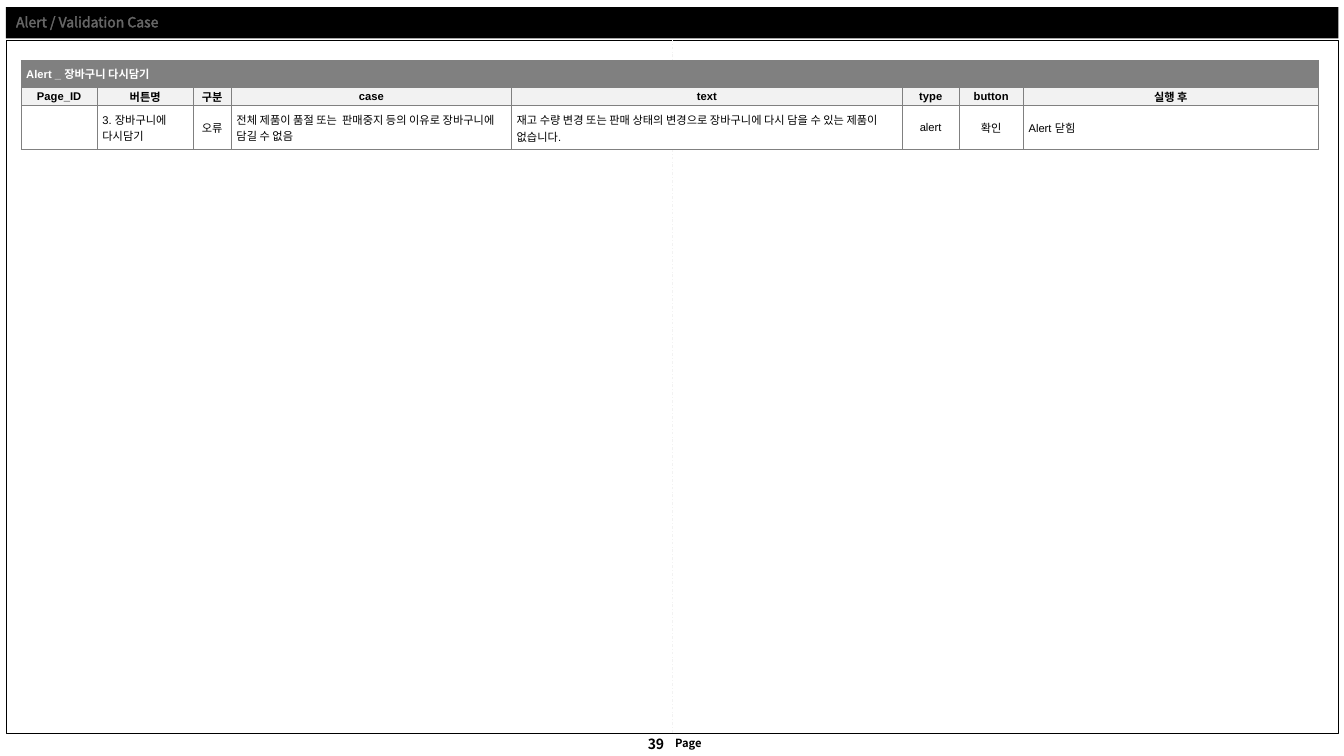
import pptx
import pptx.dml.color
import pptx.enum.dml
import pptx.enum.shapes
import pptx.enum.text
import pptx.oxml
import pptx.oxml.ns
import pptx.util
from lxml import etree

Cm = pptx.util.Cm
Pt = pptx.util.Pt
ALIGN = pptx.enum.text.PP_ALIGN
ANCHOR = pptx.enum.text.MSO_ANCHOR
AUTO_SIZE = pptx.enum.text.MSO_AUTO_SIZE
qn = pptx.oxml.ns.qn

COLORS = {
    "ink": "000000",
    "paper": "FFFFFF",
    "band": "808080",
    "header": "F2F2F2",
}
LATIN = "Arial"
KOREAN = "Noto Sans CJK KR"

COLUMN_WIDTHS = [1.92, 2.42, 0.96, 7.06, 9.85, 1.43, 1.62, 7.43]
ROW_HEIGHTS = [0.68, 0.46, 1.11]
HEADINGS = ["Page_ID", "버튼명", "구분", "case", "text", "type", "button", "실행 후"]
ALERT = [
    "",
    "3. ",
    "오류",
    "전체 제품이 품절 또는  판매중지 등의 이유로 장바구니에 담길 수 없음",
    "재고 수량 변경 또는 판매 상태의 변경으로 장바구니에 다시 담을 수 있는 제품이 없습니다.",
    "alert",
    "확인",
    "Alert 닫힘",
]
CENTERED = {"오류", "alert", "확인"}


def rgb(name):
    """Return the named colour."""
    return pptx.dml.color.RGBColor.from_string(COLORS[name])


def write(paragraph, text, size=8, font=LATIN, color="ink", bold=False,
          align=ALIGN.LEFT, spacing=None):
    """Add a formatted run to the paragraph and return it."""
    paragraph.alignment = align
    if spacing is not None:
        paragraph.line_spacing = spacing
    run = paragraph.add_run()
    run.text = text
    run.font.size = Pt(size)
    run.font.name = font
    run.font.bold = bold
    run.font.color.rgb = rgb(color)
    etree.SubElement(run.font._element, qn("a:ea"), typeface=KOREAN)
    return run


class Page:
    """Hold the style and the current slide."""

    def __init__(self, slide):
        """Keep the slide."""
        self.slide = slide

    def title(self, text, box):
        """Fill the title placeholder as a black bar."""
        heading = self.slide.shapes.title
        heading.left, heading.top, heading.width, heading.height = map(Cm, box)
        heading.fill.solid()
        heading.fill.fore_color.rgb = rgb("ink")
        frame = heading.text_frame
        frame.auto_size = AUTO_SIZE.NONE
        frame.vertical_anchor = ANCHOR.MIDDLE
        run = write(frame.paragraphs[0], text, size=10, font=KOREAN,
                    color="paper", spacing=0.9)
        outline = pptx.oxml.parse_xml(
            f'<a:ln {pptx.oxml.ns.nsdecls("a")} w="9525"><a:solidFill>'
            f'<a:srgbClr val="{COLORS["paper"]}"><a:alpha val="40000"/>'
            '</a:srgbClr></a:solidFill><a:prstDash val="solid"/></a:ln>')
        run.font._element.insert(0, outline)

    def frame(self, box):
        """Draw the page frame."""
        border = self.slide.shapes.add_shape(
            pptx.enum.shapes.MSO_SHAPE.RECTANGLE, *map(Cm, box))
        border.shadow.inherit = False
        border.fill.solid()
        border.fill.fore_color.rgb = rgb("paper")
        border.line.color.rgb = rgb("ink")
        border.line.width = Pt(0.25)

    def guide(self, x, top, bottom):
        """Draw the dashed centre line."""
        center = self.slide.shapes.add_connector(
            pptx.enum.shapes.MSO_CONNECTOR.STRAIGHT,
            Cm(x), Cm(bottom), Cm(x), Cm(top))
        center.line.color.rgb = rgb("header")
        center.line.width = Pt(0.5)
        center.line.dash_style = pptx.enum.dml.MSO_LINE.DASH_DOT
        etree.SubElement(center._element.spPr, qn("a:effectLst"))

    def label(self, text, box, inset=0, **style):
        """Add a line of footer text."""
        frame = self.slide.shapes.add_textbox(*map(Cm, box)).text_frame
        frame.word_wrap = True
        frame.auto_size = AUTO_SIZE.NONE
        frame.margin_left = frame.margin_right = Cm(inset)
        frame.margin_bottom = 0
        write(frame.paragraphs[0], text, font=KOREAN, bold=True, **style)

    def cell(self, cell, text, fill, inset=0.13, **style):
        """Format one table cell and return its paragraph."""
        cell.margin_left = cell.margin_right = Cm(inset)
        cell.margin_top = cell.margin_bottom = Cm(inset)
        cell.vertical_anchor = ANCHOR.MIDDLE
        properties = cell._tc.get_or_add_tcPr()
        for side in ("lnL", "lnR", "lnT", "lnB"):
            properties.append(pptx.oxml.parse_xml(
                f'<a:{side} {pptx.oxml.ns.nsdecls("a")} w="3175"><a:solidFill>'
                f'<a:srgbClr val="{COLORS["band"]}"/></a:solidFill></a:{side}>'))
        cell.fill.solid()
        cell.fill.fore_color.rgb = rgb(fill)
        paragraph = cell.text_frame.paragraphs[0]
        if text:
            write(paragraph, text, **style)
        return paragraph

    def alert_table(self, left, top):
        """Add the table of alert cases."""
        table = self.slide.shapes.add_table(
            len(ROW_HEIGHTS), len(COLUMN_WIDTHS), Cm(left), Cm(top),
            Cm(sum(COLUMN_WIDTHS)), Cm(sum(ROW_HEIGHTS))).table
        for column, width in zip(table.columns, COLUMN_WIDTHS):
            column.width = Cm(width)
        for row, height in zip(table.rows, ROW_HEIGHTS):
            row.height = Cm(height)
        table.cell(0, 0).merge(table.cell(0, len(COLUMN_WIDTHS) - 1))
        for index, (heading, value) in enumerate(zip(HEADINGS, ALERT)):
            caption = "" if index else "Alert _ 장바구니 다시담기"
            self.cell(table.cell(0, index), caption, "band", color="paper", bold=True)
            self.cell(table.cell(1, index), heading, "header", inset=0,
                      bold=True, align=ALIGN.CENTER)
            detail = self.cell(
                table.cell(2, index), value, "paper",
                align=ALIGN.CENTER if value in CENTERED else ALIGN.LEFT,
                spacing=Pt(12) if heading == "text" else None)
            if heading == "버튼명":
                write(detail, "장바구니에 다시담기", font=KOREAN)


def main():
    """Build the slide and save it."""
    deck = pptx.Presentation()
    deck.slide_width, deck.slide_height = Cm(33.87), Cm(19.05)
    page = Page(deck.slides.add_slide(deck.slide_layouts[5]))
    page.frame((0.15, 1.02, 33.58, 17.45))
    page.guide(16.94, 1.02, 18.47)
    page.label("Page", (16.79, 18.44, 1.12, 0.58), align=ALIGN.CENTER)
    page.label("39", (15.54, 18.4, 1.45, 0.65), inset=0.25, size=10,
               align=ALIGN.RIGHT)
    page.title("Alert / Validation Case", (0.15, 0.18, 33.58, 0.79))
    page.alert_table(0.53, 1.52)
    deck.save("out.pptx")


if __name__ == "__main__":
    main()
